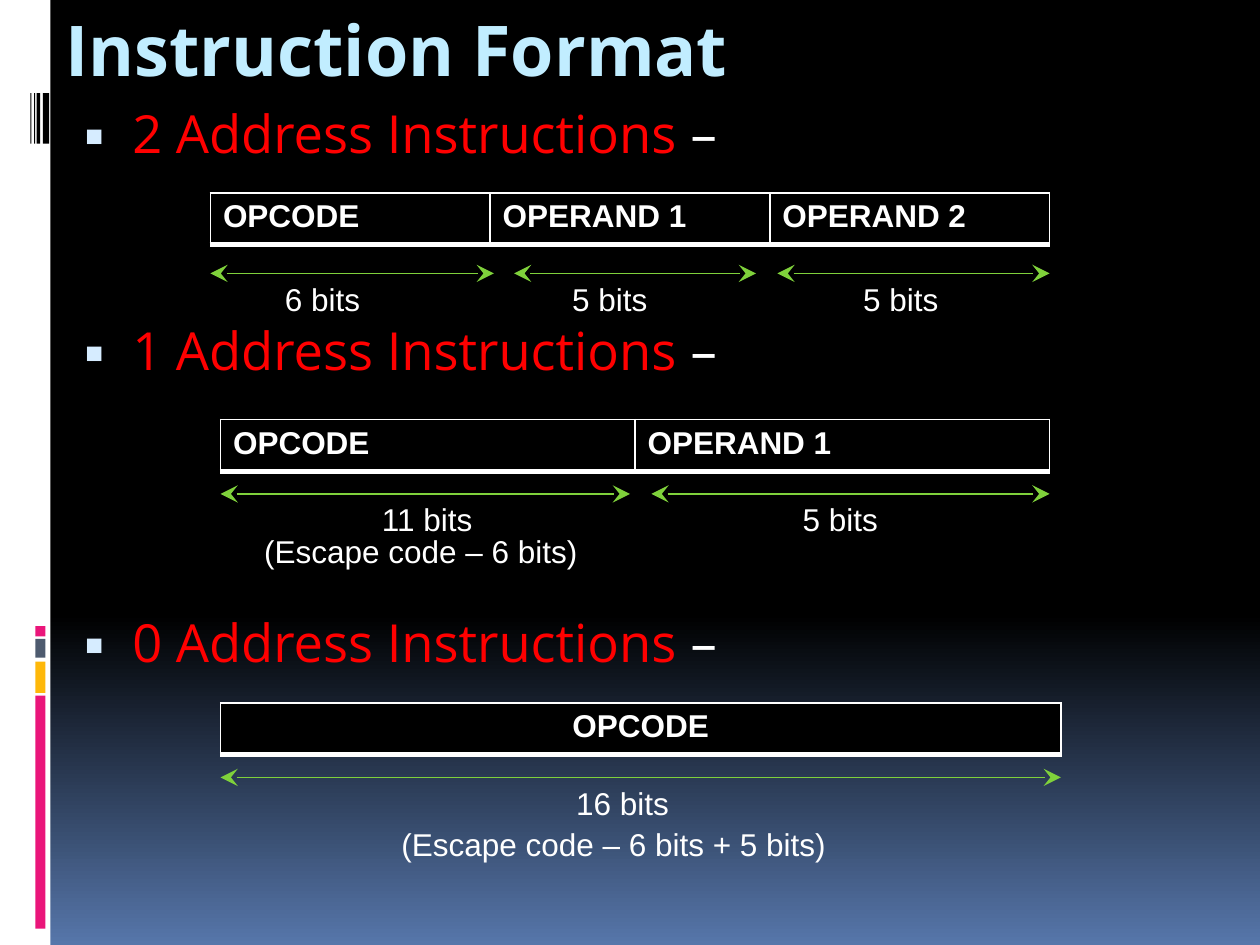
"""Build the Instruction Format slide with its address layouts."""
from dataclasses import dataclass

from lxml.etree import SubElement
from pptx import Presentation
from pptx.dml.color import RGBColor
from pptx.enum.shapes import MSO_CONNECTOR as Connector, MSO_SHAPE as Preset
from pptx.enum.text import MSO_ANCHOR as Anchor, MSO_AUTO_SIZE as AutoSize, PP_ALIGN as Align
from pptx.oxml.ns import qn
from pptx.slide import Slide
from pptx.util import Inches, Pt

BLACK = RGBColor(0x00, 0x00, 0x00)
WHITE = RGBColor(0xFF, 0xFF, 0xFF)
BLUE = RGBColor(0x56, 0x76, 0xAA)
PINK = RGBColor(0xEA, 0x15, 0x7A)
AMBER = RGBColor(0xFE, 0xB8, 0x0A)
SLATE = RGBColor(0x4E, 0x5B, 0x6F)
TITLE_BLUE = RGBColor(0xC1, 0xED, 0xFF)
BULLET_BLUE = RGBColor(0xD6, 0xEC, 0xFF)
RED = RGBColor(0xFF, 0x00, 0x00)
GREEN = RGBColor(0x7F, 0xD1, 0x3B)
HEADING_FONT = "Open Sans"
LABEL_FONT = "Arial"
ROW_HEIGHT = 0.41
LABEL_WIDTH = 3.6


@dataclass(frozen=True)
class Bar:
    left: float
    top: float
    width: float
    height: float
    color: RGBColor


@dataclass(frozen=True)
class Label:
    text: str
    center: float
    top: float


@dataclass(frozen=True)
class Format:
    heading: str
    space_before: float
    left: float
    top: float
    column_width: float
    fields: tuple[str, ...]
    arrow_y: float
    arrows: tuple[tuple[float, float], ...]
    labels: tuple[Label, ...]
    align: Align = Align.LEFT


BARS = (
    Bar(0, 0, 0.4, 7.5, WHITE),
    Bar(0.28, 5.52, 0.08, 1.85, PINK),
    Bar(0.28, 5.25, 0.08, 0.25, AMBER),
    Bar(0.28, 5.07, 0.08, 0.15, SLATE),
    Bar(0.28, 4.97, 0.08, 0.08, PINK),
    Bar(0.34, 0.74, 0.05, 0.4, BLACK),
    Bar(0.29, 0.74, 0.03, 0.4, BLACK),
    Bar(0.27, 0.74, 0.01, 0.4, BLACK),
    Bar(0.24, 0.74, 0.01, 0.4, BLACK),
)
FORMATS = (
    Format("2 Address Instructions", 0, 1.67, 1.53, 2.22,
           ("OPCODE", "OPERAND 1", "OPERAND 2"), 2.17,
           ((1.67, 3.92), (4.08, 6), (6.17, 8.33)),
           (Label("6 bits", 2.56, 2.17), Label("5 bits", 4.84, 2.17), Label("5 bits", 7.15, 2.17))),
    Format("1 Address Instructions", 88, 1.75, 3.33, 3.29,
           ("OPCODE", "OPERAND 1"), 3.92, ((1.75, 5), (5.17, 8.33)),
           (Label("11 bits", 3.39, 3.92), Label("5 bits", 6.67, 3.92),
            Label("(Escape code – 6 bits)", 3.34, 4.17))),
    Format("0 Address Instructions", 131, 1.75, 5.58, 6.67,
           ("OPCODE",), 6.17, ((1.75, 8.42),),
           (Label("16 bits", 4.94, 6.17), Label("(Escape code – 6 bits + 5 bits)", 4.87, 6.5)),
           Align.CENTER),
)


def style(paragraph, name: str, size: float, color: RGBColor, bold: bool = False) -> None:
    font = paragraph.font
    font.name, font.size, font.bold = name, Pt(size), bold
    font.color.rgb = color


def place(shape, left: float, top: float, width: float, height: float) -> None:
    shape.left, shape.top = Inches(left), Inches(top)
    shape.width, shape.height = Inches(width), Inches(height)


def paint_background(slide: Slide) -> None:
    fill = slide.background.fill
    fill.gradient()
    fill.gradient_angle = 270
    for stop, position, color in zip(fill.gradient_stops, (0.65, 1), (BLACK, BLUE)):
        stop.position = position
        stop.color.rgb = color


def draw_bar(slide: Slide, bar: Bar) -> None:
    shape = slide.shapes.add_shape(Preset.RECTANGLE, Inches(bar.left), Inches(bar.top),
                                   Inches(bar.width), Inches(bar.height))
    shape.shadow.inherit = False
    shape.fill.solid()
    shape.fill.fore_color.rgb = bar.color
    shape.line.fill.background()


def write_title(slide: Slide, text: str) -> None:
    title = slide.shapes.title
    place(title, 0.42, 0, 8.5, 1)
    frame = title.text_frame
    frame.text = text
    frame.vertical_anchor = Anchor.TOP
    frame.auto_size = AutoSize.NONE
    paragraph = frame.paragraphs[0]
    paragraph.alignment = Align.LEFT
    style(paragraph, HEADING_FONT, 40, TITLE_BLUE, bold=True)


def add_bullet(paragraph) -> None:
    properties = paragraph._p.get_or_add_pPr()
    properties.set("marL", str(Inches(0.45)))
    properties.set("indent", str(Inches(-0.38)))
    color = SubElement(properties, qn("a:buClr"))
    SubElement(color, qn("a:srgbClr"), val=str(BULLET_BLUE))
    SubElement(properties, qn("a:buSzPct"), val="95000")
    SubElement(properties, qn("a:buFont"), typeface=HEADING_FONT)
    SubElement(properties, qn("a:buChar"), char="▪")


def write_headings(slide: Slide) -> None:
    body = slide.placeholders[1]
    place(body, 0.5, 0.75, 9.25, 6.58)
    frame = body.text_frame
    frame.auto_size = AutoSize.NONE
    for index, layout in enumerate(FORMATS):
        paragraph = frame.add_paragraph() if index else frame.paragraphs[0]
        add_bullet(paragraph)
        paragraph.space_before = Pt(layout.space_before)
        style(paragraph, HEADING_FONT, 30, WHITE)
        heading = paragraph.add_run()
        heading.text = layout.heading
        heading.font.color.rgb = RED
        paragraph.add_run().text = " –"


def add_borders(cell) -> None:
    properties = cell._tc.get_or_add_tcPr()
    for side, width in (("L", 1), ("R", 1), ("T", 1), ("B", 3)):
        line = SubElement(properties, qn(f"a:ln{side}"), w=str(Pt(width)))
        SubElement(SubElement(line, qn("a:solidFill")), qn("a:srgbClr"), val=str(WHITE))


def draw_table(slide: Slide, layout: Format) -> None:
    count = len(layout.fields)
    table = slide.shapes.add_table(1, count, Inches(layout.left), Inches(layout.top),
                                   Inches(layout.column_width * count), Inches(ROW_HEIGHT)).table
    table.first_row = table.horz_banding = False
    for cell, field in zip(table.rows[0].cells, layout.fields):
        cell.text = field
        add_borders(cell)
        cell.fill.solid()
        cell.fill.fore_color.rgb = BLACK
        paragraph = cell.text_frame.paragraphs[0]
        paragraph.alignment = layout.align
        style(paragraph, LABEL_FONT, 18, WHITE, bold=True)


def draw_arrow(slide: Slide, start: float, end: float, y: float) -> None:
    arrow = slide.shapes.add_connector(Connector.STRAIGHT, Inches(start), Inches(y),
                                       Inches(end), Inches(y))
    arrow.line.color.rgb = GREEN
    arrow.line.width = Pt(0.94)
    line = arrow.line._get_or_add_ln()
    for tag in ("a:headEnd", "a:tailEnd"):
        SubElement(line, qn(tag), type="stealth", w="lg", len="lg")
    SubElement(arrow._element.spPr, qn("a:effectLst"))


def write_label(slide: Slide, label: Label) -> None:
    box = slide.shapes.add_textbox(Inches(label.center - LABEL_WIDTH / 2), Inches(label.top),
                                   Inches(LABEL_WIDTH), Inches(0.4))
    frame = box.text_frame
    frame.word_wrap = True
    frame.text = label.text
    paragraph = frame.paragraphs[0]
    paragraph.alignment = Align.CENTER
    style(paragraph, LABEL_FONT, 18, WHITE)


def main() -> None:
    presentation = Presentation()
    presentation.slide_width, presentation.slide_height = Inches(10), Inches(7.5)
    slide = presentation.slides.add_slide(presentation.slide_layouts[1])
    paint_background(slide)
    for bar in BARS:
        draw_bar(slide, bar)
    write_title(slide, "Instruction Format")
    write_headings(slide)
    for layout in FORMATS:
        draw_table(slide, layout)
        for start, end in layout.arrows:
            draw_arrow(slide, start, end, layout.arrow_y)
        for label in layout.labels:
            write_label(slide, label)
    presentation.save("out.pptx")


if __name__ == "__main__":
    main()
